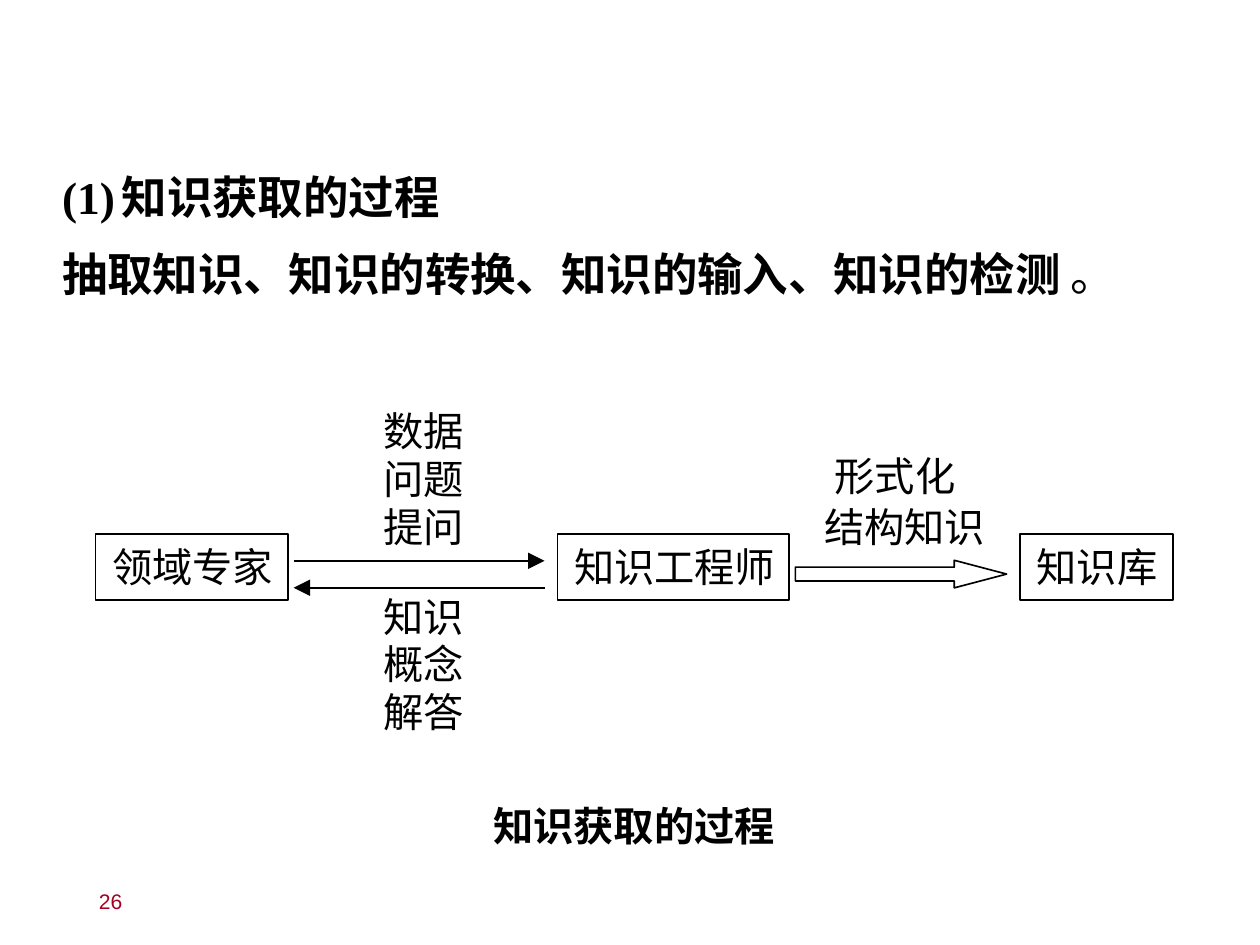
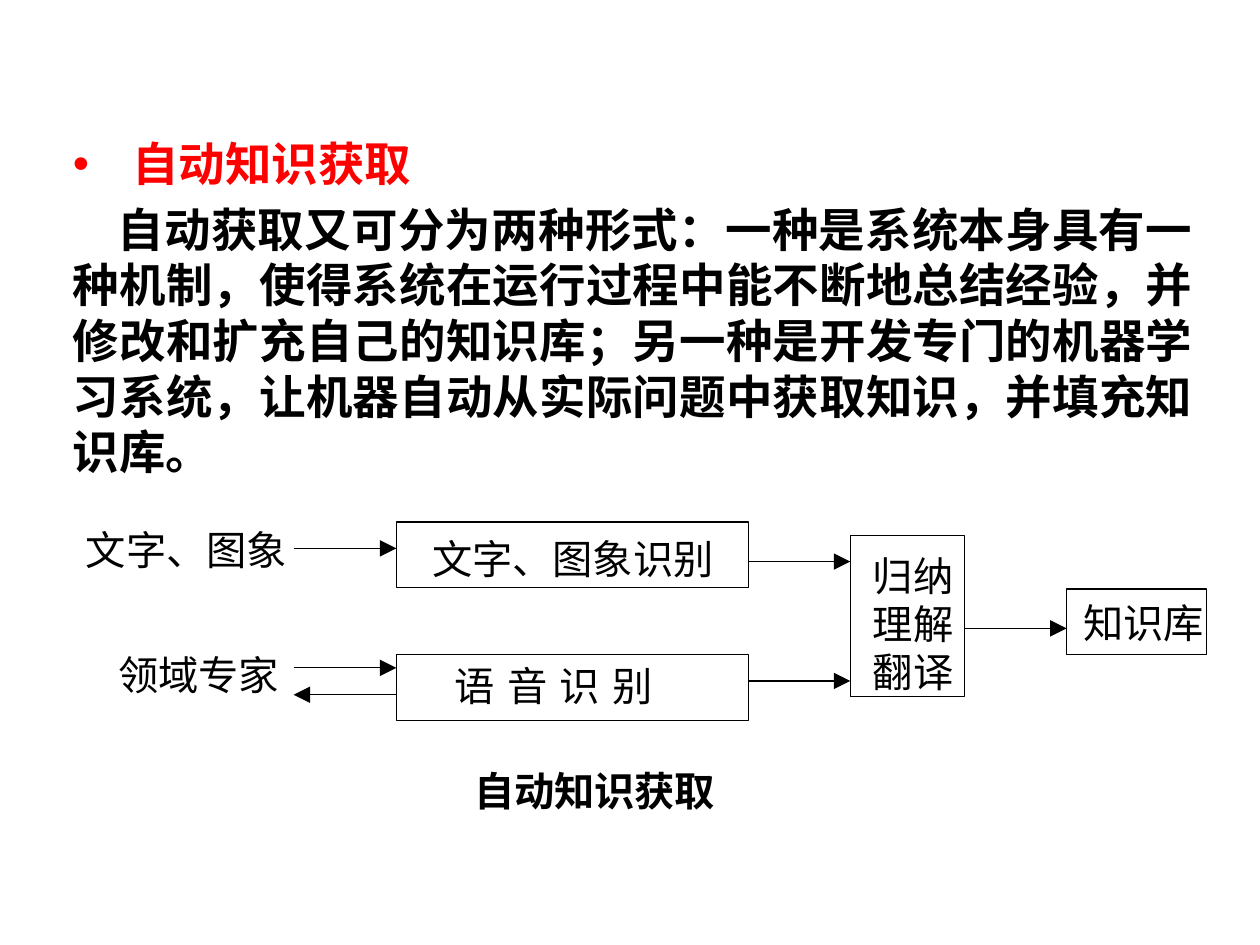
"""Build two slides on how knowledge is acquired."""
from lxml.etree import SubElement
from pptx import Presentation
from pptx.dml.color import RGBColor
from pptx.enum.shapes import MSO_CONNECTOR, MSO_SHAPE
from pptx.enum.text import MSO_ANCHOR, MSO_AUTO_SIZE, PP_ALIGN
from pptx.oxml.ns import qn
from pptx.util import Pt

BLACK = RGBColor(0x00, 0x00, 0x00)
RED = RGBColor(0xFF, 0x00, 0x00)
WINE = RGBColor(0xA5, 0x00, 0x21)
CJK = "Noto Sans CJK SC"
SIZE = 24.3
PLAIN = {"name": CJK, "size": Pt(SIZE), "bold": False}
BOLD = {**PLAIN, "bold": True}
LEAD = {"name": "Times New Roman", "size": Pt(27.4), "bold": True}
HEAD = {"name": CJK, "size": Pt(28), "bold": True}
PROSE = {**HEAD, "name": "Calibri"}
NUMBER = {"name": "Arial", "size": Pt(12.7), "bold": False}


def write(par, text, form, color=BLACK, gap=None):
    """Add a formatted run to a paragraph."""
    run = par.add_run()
    run.text = text
    for key, value in form.items():
        setattr(run.font, key, value)
    run.font.color.rgb = color
    props = run.font._element
    SubElement(props, qn("a:ea")).set("typeface", CJK)
    if gap:
        props.set("spc", str(gap))


def fill(frame, text, form, left=0, top=0, gap=None):
    """Fill a frame with one paragraph for each line of text."""
    edges = {"margin_left": left, "margin_top": top,
             "margin_right": 0, "margin_bottom": 0}
    for key, value in edges.items():
        setattr(frame, key, Pt(value))
    frame.vertical_anchor = MSO_ANCHOR.TOP
    for i, line in enumerate(text.split("\n")):
        par = frame.add_paragraph() if i else frame.paragraphs[0]
        par.alignment = PP_ALIGN.LEFT
        par.line_spacing = Pt(28.8)
        write(par, line, form, gap=gap)


deck = Presentation()
deck.slide_width, deck.slide_height = Pt(759.6), Pt(569.5)

pages = [
    {
        "body": (30.2, 84.5, 684.7, 100),
        "pitch": 46.4,
        "before": 0,
        "align": PP_ALIGN.LEFT,
        "paras": [
            {"tab": 52.4,
             "runs": [("(1)\t知识获取的过程", LEAD, BLACK)]},
            {"runs": [("抽取知识、知识的转换、知识的输入、知识的检测", LEAD, BLACK),
                      (" 。", {**LEAD, "bold": False}, BLACK)]},
        ],
        "line": 1,
        "boxes": [
            (57.6, 322, 116, 39.6, "领域专家", 10, 5, None),
            (336.2, 322, 139.7, 39.6, "知识工程师", 10, 5, None),
            (615, 322, 92.2, 39.6, "知识库", 10, 5, None),
        ],
        "labels": [
            (231.1, 245.4, "数据\n问题\n提问", PLAIN),
            (231.1, 357, "知识\n概念\n解答", PLAIN),
            (503.3, 272, "形式化", PLAIN),
            (496.8, 303, "结构知识", PLAIN),
            (297.4, 483, "知识获取的过程", BOLD),
        ],
        "arrows": [(177, 328.3, 338), (328.3, 177, 354.2)],
    },
    {
        "body": (36.7, 78, 689.8, 214),
        "pitch": 33.5,
        "before": 6,
        "align": PP_ALIGN.JUSTIFY,
        "paras": [
            {"bullet": "•", "margin": 36, "indent": -36,
             "runs": [("自动知识获取", HEAD, RED)]},
            {"indent": 27,
             "runs": [("自动获取又可分为两种形式：一种是系统本身具有一种机制，"
                       "使得系统在运行过程中能不断地总结经验，并修改和扩充自己的知识库；"
                       "另一种是开发专门的机器学习系统，让机器自动从实际问题中获取知识，"
                       "并填充知识库。", PROSE, BLACK)]},
        ],
        "line": 0.75,
        "boxes": [
            (239, 314.6, 212.4, 39.6, "文字、图象识别", 21.6, 7.8, None),
            (239, 394.6, 212.4, 39.6, "语音识别", 35.3, 4.2, 740),
            (512.6, 322.6, 69.1, 97.2, "归纳\n理解\n翻译", 13.7, 9.9, None),
            (643, 355, 84.2, 39.6, "知识库", 10, 5.6, None),
        ],
        "labels": [
            (51.8, 316.6, "文字、图象", PLAIN),
            (71.3, 392.2, "领域专家", PLAIN),
            (285.8, 462.1, "自动知识获取", BOLD),
        ],
        "arrows": [
            (177, 239, 330.5), (451.4, 512.6, 338.4),
            (451.4, 512.6, 410.4), (581.7, 643, 378.7),
            (177, 239, 402.5), (239, 177, 418.7),
        ],
    },
]

slides = []
for page in pages:
    slide = deck.slides.add_slide(deck.slide_layouts[1])
    slides.append(slide)
    title = slide.shapes.title._element
    title.getparent().remove(title)

    body = slide.placeholders[1]
    for key, value in zip(("left", "top", "width", "height"), page["body"]):
        setattr(body, key, Pt(value))
    frame = body.text_frame
    frame.auto_size = MSO_AUTO_SIZE.NONE
    frame.vertical_anchor = MSO_ANCHOR.TOP
    for i, item in enumerate(page["paras"]):
        par = frame.add_paragraph() if i else frame.paragraphs[0]
        props = par._p.get_or_add_pPr()
        props.set("marL", str(Pt(item.get("margin", 0))))
        props.set("indent", str(Pt(item.get("indent", 0))))
        if "bullet" in item:
            SubElement(props, qn("a:buFont")).set("typeface", "Arial")
            SubElement(props, qn("a:buChar")).set("char", item["bullet"])
        else:
            SubElement(props, qn("a:buNone"))
        if "tab" in item:
            tabs = SubElement(props, qn("a:tabLst"))
            stop = SubElement(tabs, qn("a:tab"))
            stop.set("pos", str(Pt(item["tab"])))
            stop.set("algn", "l")
        par.alignment = page["align"]
        par.line_spacing = Pt(page["pitch"])
        par.space_before = Pt(page["before"] if i else 0)
        for run in item["runs"]:
            write(par, *run)

    for x, y, w, h, text, left, top, gap in page["boxes"]:
        box = slide.shapes.add_shape(
            MSO_SHAPE.RECTANGLE, Pt(x), Pt(y), Pt(w), Pt(h))
        box.shadow.inherit = False
        box.fill.background()
        box.line.color.rgb = BLACK
        box.line.width = Pt(page["line"])
        fill(box.text_frame, text, PLAIN, left, top, gap)

    for x, y, text, form in page["labels"]:
        lines = text.split("\n")
        label = slide.shapes.add_textbox(
            Pt(x), Pt(y), Pt(SIZE * len(lines[0])), Pt(28.8 * len(lines)))
        label.text_frame.word_wrap = False
        fill(label.text_frame, text, form)

    for start, end, y in page["arrows"]:
        arrow = slide.shapes.add_connector(
            MSO_CONNECTOR.STRAIGHT, Pt(start), Pt(y), Pt(end), Pt(y))
        arrow.line.color.rgb = BLACK
        arrow.line.width = Pt(page["line"])
        tip = SubElement(arrow.line._get_or_add_ln(), qn("a:tailEnd"))
        for key, value in {"type": "triangle", "w": "lg", "len": "lg"}.items():
            tip.set(key, value)
        SubElement(arrow._element.spPr, qn("a:effectLst"))

first = slides[0].shapes
block = first.add_shape(
    MSO_SHAPE.RIGHT_ARROW, Pt(479.5), Pt(337.7), Pt(127.4), Pt(16.6))
block.shadow.inherit = False
block.fill.background()
block.line.color.rgb = BLACK
block.line.width = Pt(1)
block.adjustments[0], block.adjustments[1] = 0.5, 1.9

number = first.add_textbox(Pt(52.6), Pt(527.8), Pt(170.6), Pt(30.2))
number.text_frame.word_wrap = True
number.text_frame.vertical_anchor = MSO_ANCHOR.MIDDLE
write(number.text_frame.paragraphs[0], "26", NUMBER, WINE)

deck.save("out.pptx")
